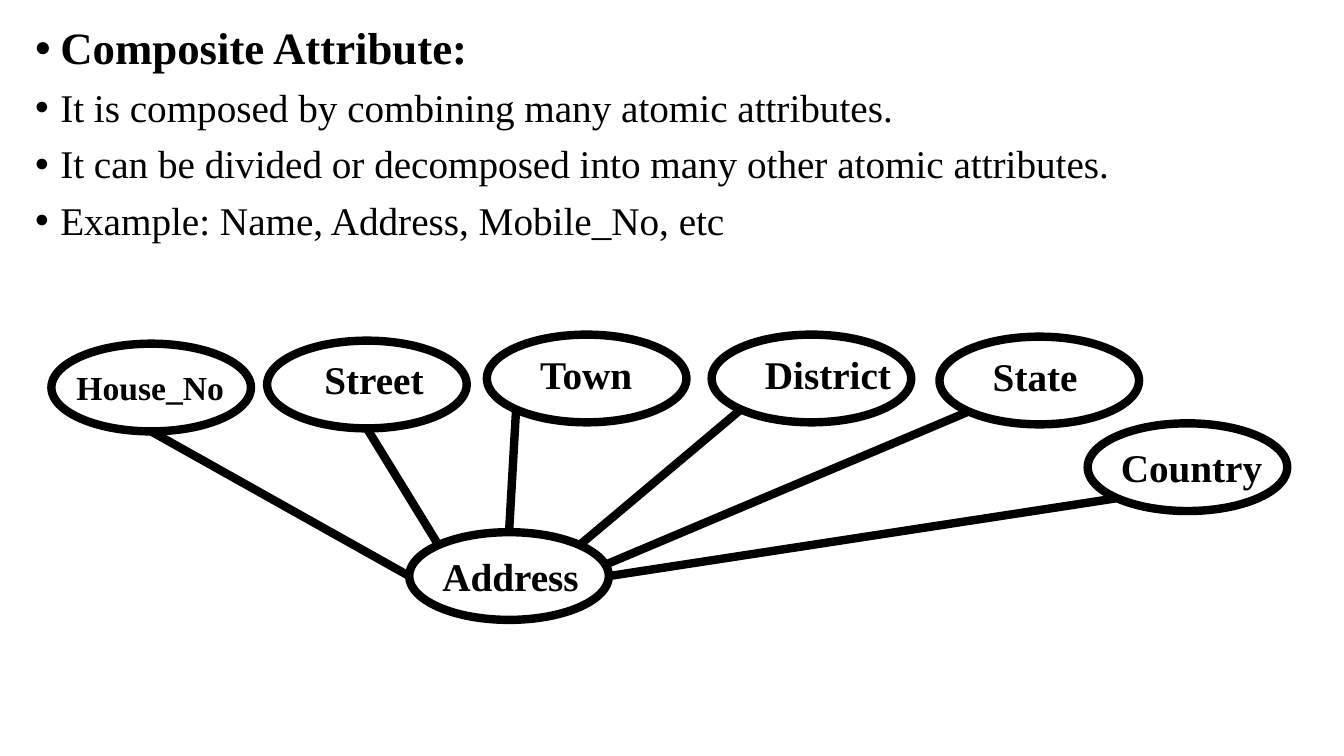
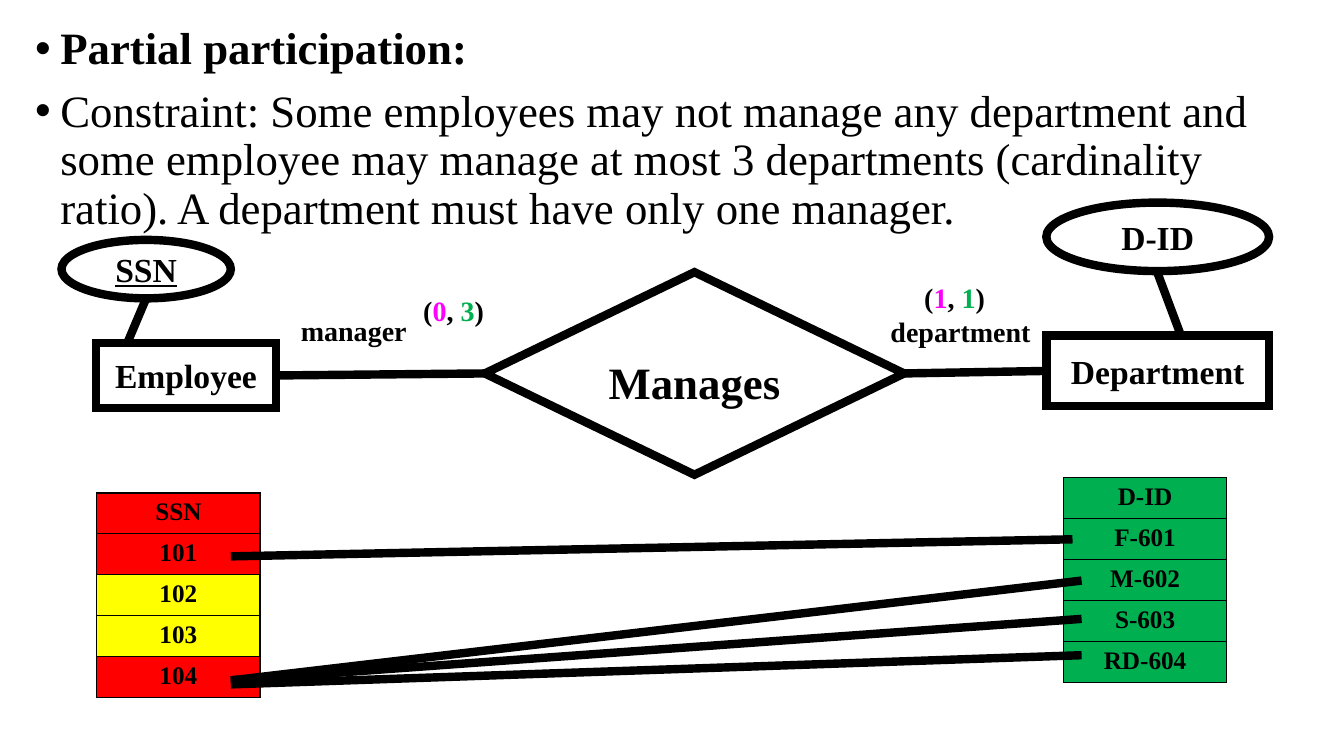
from dataclasses import dataclass
from math import cos, radians, sin
from typing import NamedTuple

from lxml import etree
from pptx import Presentation
from pptx.dml.color import RGBColor
from pptx.enum.shapes import MSO_CONNECTOR, MSO_SHAPE
from pptx.enum.text import MSO_ANCHOR, PP_ALIGN
from pptx.oxml.ns import qn
from pptx.util import Inches, Pt

STRAIGHT = MSO_CONNECTOR.STRAIGHT
OVAL, RECTANGLE, DIAMOND = MSO_SHAPE.OVAL, MSO_SHAPE.RECTANGLE, MSO_SHAPE.DIAMOND
MIDDLE, TOP = MSO_ANCHOR.MIDDLE, MSO_ANCHOR.TOP
CENTER, LEFT = PP_ALIGN.CENTER, PP_ALIGN.LEFT
SIDE_LEFT, SIDE_RIGHT = 1, 3


@dataclass(frozen=True)
class Theme:
    font: str = "Times New Roman"
    ink: str = "000000"
    paper: str = "FFFFFF"
    red: str = "FF0000"
    yellow: str = "FFFF00"
    green: str = "00B050"
    magenta: str = "FF00FF"
    heading: int = 32
    body: int = 28
    node: int = 24
    label: int = 20
    cell: int = 18
    stroke: int = 6
    border: int = 1


THEME = Theme()
COLUMNS, ROWS = 133.33, 75
GRID = Inches(0.1)


class Area(NamedTuple):
    left: float
    top: float
    width: float
    height: float

    def rim(self, angle: float) -> tuple[float, float]:
        turn = radians(angle)
        return (self.left + self.width / 2 * (1 + cos(turn)),
                self.top + self.height / 2 * (1 + sin(turn)))


class Span(NamedTuple):
    text: str
    size: int
    color: str = THEME.ink
    bold: bool = True
    underline: bool = False


class Attribute(NamedTuple):
    span: Span
    left: float
    top: float
    label: Area
    own_angle: float
    hub_angle: float


class Node(NamedTuple):
    kind: int
    area: Area
    span: Span


class Listing(NamedTuple):
    left: float
    top: float
    entries: dict[str, str]


def cells(amount: float) -> int:
    return round(amount * GRID)


def place(area: Area) -> list[int]:
    return [cells(amount) for amount in area]


def write(para, spans: list[Span], align=LEFT) -> None:
    para.alignment = align
    for span in spans:
        run = para.add_run()
        run.text = span.text
        font = run.font
        font.name, font.size = THEME.font, Pt(span.size)
        font.bold, font.underline = span.bold, span.underline
        font.color.rgb = RGBColor.from_string(span.color)


def add_label(page, area: Area, spans: list[Span], align=CENTER, anchor=MIDDLE, wrap=True) -> None:
    frame = page.shapes.add_textbox(*place(area)).text_frame
    frame.word_wrap = wrap
    frame.vertical_anchor = anchor
    write(frame.paragraphs[0], spans, align)


def add_bullets(page, spans: list[Span]) -> None:
    frame = page.shapes.add_textbox(*place(Area(2.5, 2.1, 127, 70.4))).text_frame
    frame.word_wrap = True
    for index, span in enumerate(spans):
        para = frame.add_paragraph() if index else frame.paragraphs[0]
        properties = para._p.get_or_add_pPr()
        properties.set("marL", str(cells(2.5)))
        properties.set("indent", str(cells(-2.5)))
        etree.SubElement(properties, qn("a:buFont")).set("typeface", "Arial")
        etree.SubElement(properties, qn("a:buChar")).set("char", "•")
        para.line_spacing = 0.9
        para.space_before = Pt(10 if index else 0)
        write(para, [span])


def add_outline(page, kind: int, area: Area, filled: bool = True):
    shape = page.shapes.add_shape(kind, *place(area))
    shape.shadow.inherit = False
    if filled:
        shape.fill.solid()
        shape.fill.fore_color.rgb = RGBColor.from_string(THEME.paper)
    else:
        shape.fill.background()
    shape.line.color.rgb = RGBColor.from_string(THEME.ink)
    shape.line.width = Pt(THEME.stroke)
    etree.SubElement(shape.line._get_or_add_ln(), qn("a:miter")).set("lim", "800000")
    return shape


def add_node(page, node: Node):
    shape = add_outline(page, node.kind, node.area)
    frame = shape.text_frame
    frame.vertical_anchor = MIDDLE
    write(frame.paragraphs[0], [node.span], CENTER)
    return shape


def add_line(page, start: tuple[float, float], end: tuple[float, float]):
    line = page.shapes.add_connector(STRAIGHT, *(cells(amount) for amount in (*start, *end)))
    line.line.color.rgb = RGBColor.from_string(THEME.ink)
    line.line.width = Pt(THEME.stroke)
    etree.SubElement(line._element.spPr, qn("a:effectLst"))
    return line


def join(page, first, first_side: int, second, second_side: int) -> None:
    line = add_line(page, (0, 0), (0, 0))
    line.begin_connect(first, first_side)
    line.end_connect(second, second_side)


def add_borders(cell) -> None:
    properties = cell._tc.get_or_add_tcPr()
    for side in ("lnL", "lnR", "lnT", "lnB"):
        edge = etree.SubElement(properties, qn(f"a:{side}"), w=str(Pt(THEME.border)))
        fill = etree.SubElement(edge, qn("a:solidFill"))
        etree.SubElement(fill, qn("a:srgbClr"), val=THEME.ink)


def add_listing(page, listing: Listing) -> None:
    count = len(listing.entries)
    area = Area(listing.left, listing.top, 16.2, 4.06 * count)
    table = page.shapes.add_table(count, 1, *place(area)).table
    table.first_row = table.horz_banding = False
    for row, (text, color) in enumerate(listing.entries.items()):
        cell = table.cell(row, 0)
        add_borders(cell)
        cell.fill.solid()
        cell.fill.fore_color.rgb = RGBColor.from_string(color)
        write(cell.text_frame.paragraphs[0], [Span(text, THEME.cell)], CENTER)


def add_cardinality(page, area: Area, least: str, most: str) -> None:
    parts = [("(", THEME.ink), (least, THEME.magenta), (", ", THEME.ink),
             (most, THEME.green), (")", THEME.ink)]
    add_label(page, area, [Span(text, THEME.label, color) for text, color in parts])


def build_composite(page) -> None:
    add_bullets(page, [Span("Composite Attribute:", THEME.heading)] + [
        Span(text, THEME.body, bold=False) for text in (
            "It is composed by combining many atomic attributes.",
            "It can be divided or decomposed into many other atomic attributes.",
            "Example: Name, Address, Mobile_No, etc")])
    width, height = 19.8, 8.7
    hub = Area(40.6, 52.8, width, height)
    big, small = THEME.body, THEME.node
    attributes = [
        Attribute(Span("House_No", small), 5.1, 34.1, Area(6.6, 35.9, 16.8, 5), 90, 180),
        Attribute(Span("Street", big), 26.5, 33.8, Area(31.2, 34.8, 12, 5.7), 90, 225),
        Attribute(Span("Town", big), 48.3, 33.2, Area(52.6, 34.3, 11.3, 5.7), 135, 270),
        Attribute(Span("District", big), 70.6, 33.2, Area(74.9, 34.3, 14.7, 5.7), 135, 315),
        Attribute(Span("State", big), 93.2, 33.4, Area(97.5, 34.5, 10.5, 5.7), 135, 345),
        Attribute(Span("Country", big), 107.9, 42, Area(110.2, 43.5, 16.2, 5.7), 135, 0),
    ]
    add_outline(page, OVAL, hub)
    add_label(page, Area(42.9, 54.3, 15.7, 5.7), [Span("Address", big)], LEFT, TOP, False)
    for attribute in attributes:
        oval = Area(attribute.left, attribute.top, width, height)
        add_outline(page, OVAL, oval)
        add_line(page, hub.rim(attribute.hub_angle), oval.rim(attribute.own_angle))
        add_label(page, attribute.label, [attribute.span], LEFT, TOP, False)


def build_participation(page) -> None:
    add_bullets(page, [
        Span("Partial participation:", THEME.heading),
        Span("Constraint: Some employees may not manage any department and some employee "
             "may manage at most 3 departments (cardinality ratio). A department must have "
             "only one manager.", THEME.heading, bold=False)])

    employee, department, _, _ = [add_node(page, node) for node in (
        Node(RECTANGLE, Area(9.5, 34, 17.9, 6.5), Span("Employee", THEME.node)),
        Node(RECTANGLE, Area(103.8, 33.3, 22.1, 7), Span("Department", THEME.node)),
        Node(OVAL, Area(6.1, 23.8, 16.8, 5.8), Span("SSN", THEME.node, underline=True)),
        Node(OVAL, Area(103.8, 20.1, 22.1, 6.8), Span("D-ID", THEME.node)))]
    add_line(page, (12.6, 34.1), (14.5, 29.6))
    add_line(page, (117.2, 33.4), (114.8, 27))

    manages = add_outline(page, DIAMOND, Area(48.1, 27, 41.6, 20.1), filled=False)
    add_label(page, Area(55.8, 34.7, 26.2, 6.4), [Span("Manages", THEME.heading)], anchor=TOP)
    join(page, employee, SIDE_RIGHT, manages, SIDE_LEFT)
    join(page, manages, SIDE_RIGHT, department, SIDE_LEFT)

    add_cardinality(page, Area(40.3, 28.3, 9.4, 4.9), "0", "3")
    add_cardinality(page, Area(90, 27, 9.4, 4.9), "1", "1")
    add_label(page, Area(27.6, 31.2, 15, 3.1), [Span("manager", THEME.label)])
    add_label(page, Area(86.8, 31.3, 17, 3.2), [Span("department", THEME.label)])

    red, yellow = THEME.red, THEME.yellow
    add_listing(page, Listing(9.6, 48.9, {
        "SSN": red, "101": red, "102": yellow, "103": yellow, "104": red}))
    add_listing(page, Listing(105.5, 47.4, dict.fromkeys(
        ("D-ID", "F-601", "M-602", "S-603", "RD-604"), THEME.green)))
    for start_row, end_column, end_row in (
            (55.2, 106.4, 53.5), (67.9, 107.3, 65), (67.5, 107.3, 61.4), (67.5, 107.3, 57.6)):
        add_line(page, (22.9, start_row), (end_column, end_row))


def main() -> None:
    deck = Presentation()
    deck.slide_width, deck.slide_height = cells(COLUMNS), cells(ROWS)
    blank = deck.slide_layouts[6]
    for build in (build_composite, build_participation):
        build(deck.slides.add_slide(blank))
    deck.save("out.pptx")


if __name__ == "__main__":
    main()
